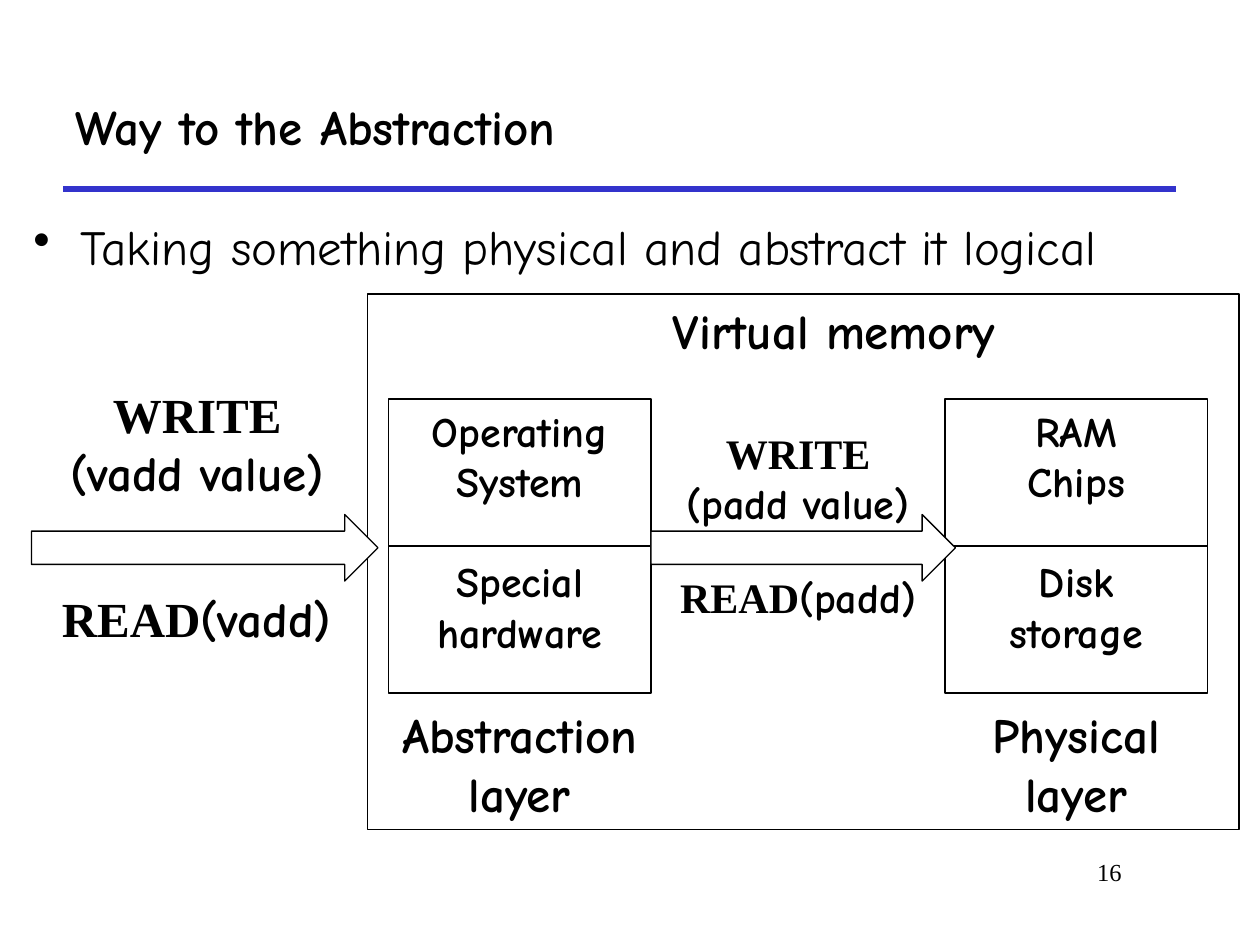
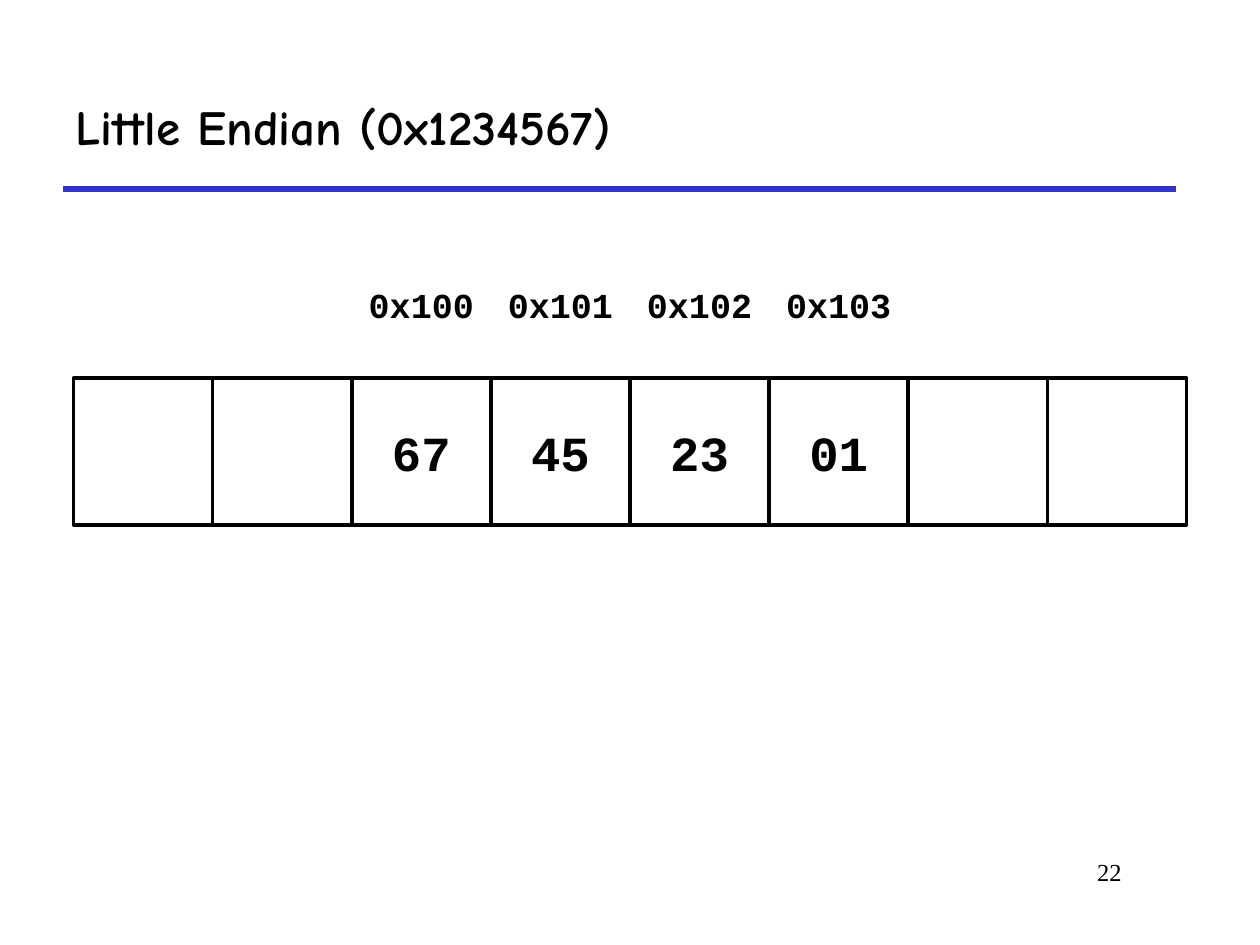
from dataclasses import dataclass
from typing import Optional

from lxml import etree
from pptx import Presentation
from pptx import util as u
from pptx.dml import color
from pptx.enum import shapes, text as t
from pptx.oxml import ns


@dataclass(frozen=True)
class Theme:
    ink: color.RGBColor = color.RGBColor(0x00, 0x00, 0x00)
    paper: color.RGBColor = color.RGBColor(0xFF, 0xFF, 0xFF)
    accent: color.RGBColor = color.RGBColor(0x33, 0x33, 0xCC)
    body_font: str = "Comic Neue"
    command_font: str = "Times New Roman"
    code_font: str = "Courier New"
    large: float = 28
    medium: float = 24
    small: float = 20
    footer: float = 14
    thin: float = 0.75
    cell_line: float = 2
    rule_line: float = 3


@dataclass(frozen=True)
class Area:
    left: float
    top: float
    width: float
    height: float

    def lengths(self) -> tuple:
        return tuple(map(u.Pt, (self.left, self.top, self.width, self.height)))


@dataclass(frozen=True)
class Layer:
    left: float
    upper: str
    lower: str
    caption: str


@dataclass(frozen=True)
class Call:
    arrow_left: float
    arrow_width: float
    above: str
    above_area: Area
    below: str
    below_area: Area
    size: float


THEME = Theme()
TITLE_AREA = Area(36, 36, 636, 72)
PAGE_AREA = Area(546, 486, 102, 36)
MEMORY_AREA = Area(210, 168, 498, 306)
LAYER_TOP, LAYER_WIDTH, LAYER_HEIGHT = 228, 150, 168
LAYER_MIDDLE = LAYER_TOP + LAYER_HEIGHT / 2
ARROW_TOP, ARROW_HEIGHT = 294, 38
CELL_LEFT, CELL_TOP, CELL_WIDTH, CELL_HEIGHT = 42, 216, 79.5, 84

LAYERS = (
    Layer(222, "Operating\nSystem", "Special\nhardware", "Abstraction\nlayer"),
    Layer(540, "RAM\nChips", "Disk\nstorage", "Physical\nlayer"),
)
CALLS = (
    Call(18, 198, "WRITE\n(vadd value)", Area(32.4, 216, 160.6, 75),
         "READ(vadd)", Area(28.1, 332.6, 168.5, 41), THEME.large),
    Call(372, 174, "WRITE\n(padd value)", Area(378, 240.5, 156.2, 65),
         "READ(padd)", Area(378, 323.3, 156.2, 36), THEME.medium),
)
CELLS = ("", "", "67", "45", "23", "01", "", "")
FIRST_ADDRESS = 0x100


def set_text(shape, text: str, *, size: float = THEME.large, font: str = THEME.body_font,
             command_font: Optional[str] = None, bold: bool = True,
             align=t.PP_ALIGN.CENTER, anchor=t.MSO_ANCHOR.TOP,
             wrap: bool = False, space_before: float = 0) -> list:
    frame = shape.text_frame
    frame.word_wrap = wrap
    frame.vertical_anchor = anchor
    paragraphs = []
    for line in text.split("\n"):
        paragraph = frame.add_paragraph() if paragraphs else frame.paragraphs[0]
        paragraph.alignment = align
        paragraph.space_before = u.Pt(0 if paragraphs else space_before)
        pieces = [(line, font)]
        if command_font:
            command, bracket, arguments = line.partition("(")
            pieces = [(command, command_font), (bracket + arguments, font)]
        for words, face in pieces:
            if words:
                run = paragraph.add_run()
                run.text = words
                run.font.name = face
                run.font.size = u.Pt(size)
                run.font.bold = bold
                run.font.color.rgb = THEME.ink
        paragraphs.append(paragraph)
    return paragraphs


def add_label(slide, area: Area, text: str, **style) -> list:
    return set_text(slide.shapes.add_textbox(*area.lengths()), text, **style)


def add_outline(slide, area: Area, *, kind=shapes.MSO_SHAPE.RECTANGLE, line: float = THEME.thin):
    shape = slide.shapes.add_shape(kind, *area.lengths())
    shape.shadow.inherit = False
    shape.fill.solid()
    shape.fill.fore_color.rgb = THEME.paper
    shape.line.color.rgb = THEME.ink
    shape.line.width = u.Pt(line)
    return shape


def add_rule(slide, left: float, right: float, top: float, *,
             ink: color.RGBColor = THEME.ink, width: float = THEME.thin) -> None:
    rule = slide.shapes.add_connector(shapes.MSO_CONNECTOR.STRAIGHT,
                                      *map(u.Pt, (left, top, right, top)))
    rule.line.color.rgb = ink
    rule.line.width = u.Pt(width)
    etree.SubElement(rule._element.spPr, ns.qn("a:effectLst"))


def add_bullet(paragraph, indent: float) -> None:
    properties = paragraph._p.get_or_add_pPr()
    properties.set("marL", str(u.Pt(indent)))
    properties.set("indent", str(-u.Pt(indent)))
    etree.SubElement(properties, ns.qn("a:buChar"), char="•")


def add_page(presentation, title: str, number: int):
    slide = presentation.slides.add_slide(presentation.slide_layouts[6])
    add_rule(slide, 36, 672, 108, ink=THEME.accent, width=THEME.rule_line)
    add_label(slide, TITLE_AREA, title, align=t.PP_ALIGN.LEFT,
              anchor=t.MSO_ANCHOR.MIDDLE, wrap=True)
    add_label(slide, PAGE_AREA, str(number), size=THEME.footer, font=THEME.command_font,
              bold=False, align=t.PP_ALIGN.RIGHT, wrap=True)
    return slide


def add_layer(slide, layer: Layer) -> None:
    area = Area(layer.left, LAYER_TOP, LAYER_WIDTH, LAYER_HEIGHT)
    paragraphs = set_text(add_outline(slide, area), f"{layer.upper}\n{layer.lower}",
                          size=THEME.medium)
    paragraphs[2].space_before = u.Pt(28.5)
    add_label(slide, Area(layer.left, 399, LAYER_WIDTH, 75), layer.caption)
    add_rule(slide, layer.left, layer.left + LAYER_WIDTH, LAYER_MIDDLE)


def add_call(slide, call: Call) -> None:
    add_outline(slide, Area(call.arrow_left, ARROW_TOP, call.arrow_width, ARROW_HEIGHT),
                kind=shapes.MSO_SHAPE.RIGHT_ARROW)
    for area, text in ((call.above_area, call.above), (call.below_area, call.below)):
        add_label(slide, area, text, size=call.size, command_font=THEME.command_font, wrap=True)


def build_abstraction(presentation) -> None:
    slide = add_page(presentation, "Way to the Abstraction", 16)
    add_outline(slide, MEMORY_AREA)
    statement = add_label(slide, Area(12, 120, 678, 60),
                          "Taking something physical and abstract it logical",
                          bold=False, align=t.PP_ALIGN.LEFT, wrap=True, space_before=7)
    add_bullet(statement[0], 27)
    add_label(slide, Area(377.3, 168, 198.7, 41), "Virtual memory")
    for layer in LAYERS:
        add_layer(slide, layer)
    for call in CALLS:
        add_call(slide, call)


def build_endian(presentation) -> None:
    slide = add_page(presentation, "Little Endian (0x1234567)", 22)
    address = FIRST_ADDRESS
    for column, value in enumerate(CELLS):
        left = CELL_LEFT + column * CELL_WIDTH
        cell = add_outline(slide, Area(left, CELL_TOP, CELL_WIDTH, CELL_HEIGHT),
                           line=THEME.cell_line)
        if value:
            set_text(cell, value, font=THEME.code_font, anchor=t.MSO_ANCHOR.MIDDLE)
            add_label(slide, Area(left, CELL_TOP - CELL_HEIGHT, CELL_WIDTH, CELL_HEIGHT),
                      f"0x{address:x}", size=THEME.small, font=THEME.code_font,
                      anchor=t.MSO_ANCHOR.MIDDLE)
            address += 1


def main() -> None:
    presentation = Presentation()
    presentation.slide_width = u.Pt(720)
    presentation.slide_height = u.Pt(540)
    build_abstraction(presentation)
    build_endian(presentation)
    presentation.save("out.pptx")


if __name__ == "__main__":
    main()
